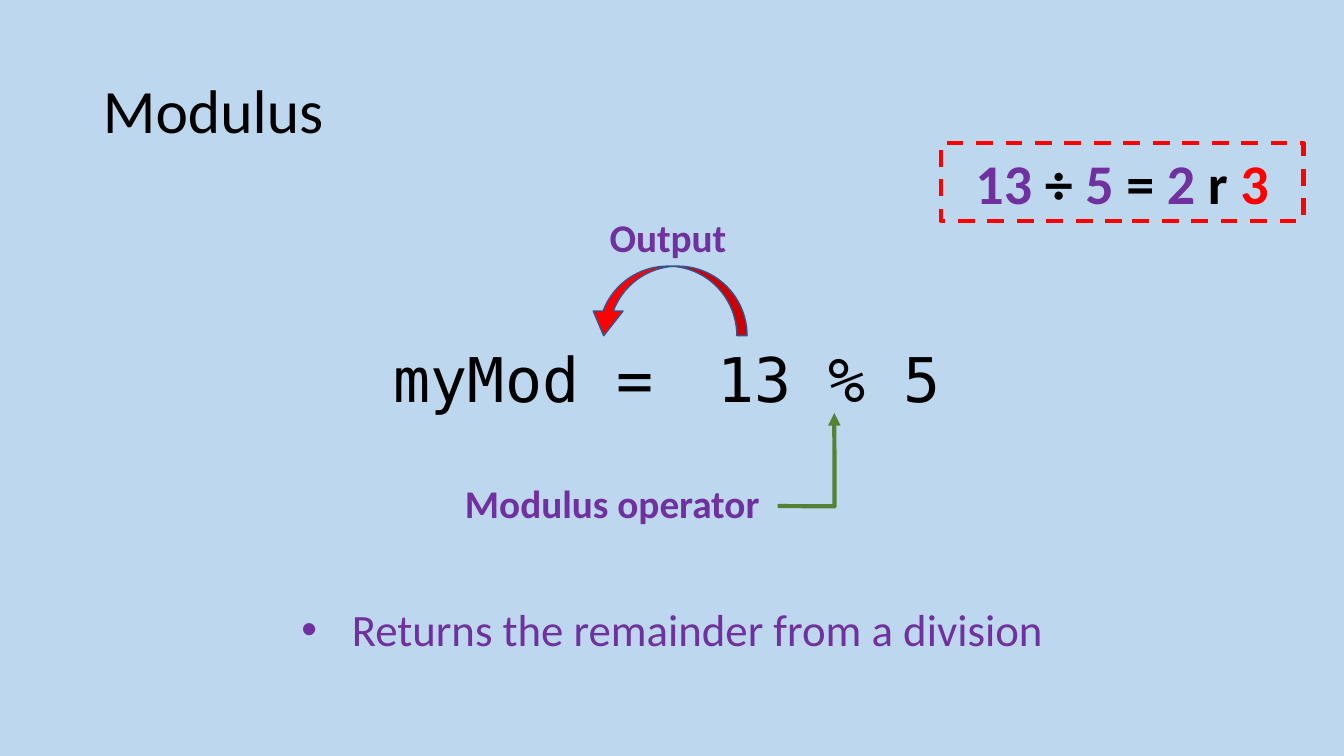
"""Build a slide that explains the modulus operator."""
from dataclasses import dataclass

import lxml.etree
import pptx
import pptx.dml.color
import pptx.enum.dml
import pptx.enum.shapes
import pptx.enum.text
import pptx.oxml.ns
import pptx.util

Inches = pptx.util.Inches
Pt = pptx.util.Pt
ALIGN = pptx.enum.text.PP_ALIGN
ANCHOR = pptx.enum.text.MSO_ANCHOR
SHAPE = pptx.enum.shapes.MSO_SHAPE
qn = pptx.oxml.ns.qn

COLORS = {"background": "BDD7EE", "black": "000000", "purple": "7030A0",
          "red": "FF0000", "green": "548235", "outline": "325491"}
SANS = "Calibri"
MONO = "DejaVu Sans Mono"


@dataclass(frozen=True)
class Box:
    """Position and size in inches."""
    left: float
    top: float
    width: float
    height: float

    def lengths(self) -> tuple:
        """Return the four values as lengths."""
        return tuple(Inches(v) for v in (self.left, self.top, self.width, self.height))


@dataclass(frozen=True)
class Label:
    """A line of text made of (words, colour name) spans."""
    spans: tuple
    size: int
    font: str = SANS
    bold: bool = False
    align: ALIGN = ALIGN.LEFT
    anchor: ANCHOR = ANCHOR.TOP
    wrap: bool = True
    grow: bool = True


TITLE = Label((("Modulus", "black"),), 44, anchor=ANCHOR.MIDDLE, grow=False)
RESULT = Label((("myMod = ", "black"),), 44, MONO, align=ALIGN.RIGHT)
EXPRESSION = Label((("13 % 5", "black"),), 44, MONO)
OUTPUT = Label((("Output", "purple"),), 28, bold=True, align=ALIGN.CENTER, wrap=False)
OPERATOR = Label((("Modulus operator", "purple"),), 28, bold=True,
                 align=ALIGN.RIGHT, anchor=ANCHOR.MIDDLE, grow=False)
SUMMARY = Label((("Returns the remainder from a division", "purple"),), 32,
                align=ALIGN.CENTER, wrap=False)
DIVISION = Label((("13 ", "purple"), ("÷", "black"), (" 5 ", "purple"), ("=", "black"),
                  (" 2 ", "purple"), ("r ", "black"), ("3", "red")),
                 40, bold=True, align=ALIGN.CENTER)


def rgb(name: str) -> pptx.dml.color.RGBColor:
    """Look up a named colour."""
    return pptx.dml.color.RGBColor.from_string(COLORS[name])


def write(shape, label: Label):
    """Put a label into a shape and return its paragraph."""
    frame = shape.text_frame
    sizing = pptx.enum.text.MSO_AUTO_SIZE
    frame.auto_size = sizing.SHAPE_TO_FIT_TEXT if label.grow else sizing.NONE
    frame.word_wrap = label.wrap
    frame.vertical_anchor = label.anchor
    para = frame.paragraphs[0]
    para.alignment = label.align
    para.space_before = Pt(0)
    para.font.name = label.font
    para.font.size = Pt(label.size)
    para.font.bold = label.bold
    for words, color in label.spans:
        span = para.add_run()
        span.text = words
        span.font.color.rgb = rgb(color)
    return para


def add_text(shapes, box: Box, label: Label) -> None:
    """Add a text box."""
    write(shapes.add_textbox(*box.lengths()), label)


def fill_placeholder(shape, box: Box, label: Label):
    """Move a placeholder, write its label and return the paragraph."""
    shape.left, shape.top, shape.width, shape.height = box.lengths()
    return write(shape, label)


def add_figure(shapes, kind: SHAPE, box: Box, line: str, weight: float,
               fill: str = "", adjust: tuple = (), flip: bool = False):
    """Add an outlined preset shape."""
    shape = shapes.add_shape(kind, *box.lengths())
    shape.shadow.inherit = False
    if fill:
        shape.fill.solid()
        shape.fill.fore_color.rgb = rgb(fill)
    else:
        shape.fill.background()
    shape.line.color.rgb = rgb(line)
    shape.line.width = Pt(weight)
    for index, value in enumerate(adjust):
        shape.adjustments[index] = value
    if flip:
        shape._element.spPr.xfrm.set("flipH", "1")
    return shape


def set_bullet(para, indent: float) -> None:
    """Give a paragraph a hanging round bullet."""
    props = para._p.get_or_add_pPr()
    props.set("marL", str(Inches(indent)))
    props.set("indent", str(-Inches(indent)))
    lxml.etree.SubElement(props, qn("a:buFont")).set("typeface", "Arial")
    lxml.etree.SubElement(props, qn("a:buChar")).set("char", "•")


def main() -> None:
    """Create and save the deck."""
    deck = pptx.Presentation()
    deck.slide_width, deck.slide_height = Inches(13.33), Inches(7.5)
    page = deck.slides.add_slide(deck.slide_layouts[1])
    page.background.fill.solid()
    page.background.fill.fore_color.rgb = rgb("background")

    title = fill_placeholder(page.shapes.title, Box(0.92, 0.4, 11.5, 1.45), TITLE)
    title.line_spacing = 0.9
    summary = fill_placeholder(page.placeholders[1], Box(2.85, 5.92, 7.64, 0.64), SUMMARY)
    set_bullet(summary, 0.5)

    add_text(page.shapes, Box(7.02, 3.33, 4.32, 0.84), EXPRESSION)
    callout = add_figure(page.shapes, SHAPE.LINE_CALLOUT_2_NO_BORDER,
                         Box(4.42, 4.52, 3.21, 0.94), "green", 3,
                         adjust=(0.533, -0.026, 0.535, -0.202, -0.449, -0.201), flip=True)
    outline = callout.line._get_or_add_ln()
    lxml.etree.SubElement(outline, qn("a:tailEnd")).set("type", "triangle")
    write(callout, OPERATOR)
    add_text(page.shapes, Box(3.09, 3.33, 3.86, 0.84), RESULT)

    assignment = page.shapes.add_group_shape()
    add_figure(assignment.shapes, SHAPE.CURVED_DOWN_ARROW, Box(5.84, 2.64, 1.57, 0.69),
               "outline", 1, "red", (0.147, 0.428, 0.354), flip=True)
    add_text(assignment.shapes, Box(5.94, 2.07, 1.37, 0.57), OUTPUT)

    frame = add_figure(page.shapes, SHAPE.RECTANGLE, Box(9.33, 1.42, 3.6, 0.77), "red", 3)
    frame.line.dash_style = pptx.enum.dml.MSO_LINE.DASH
    write(frame, DIVISION)
    deck.save("out.pptx")


if __name__ == "__main__":
    main()
